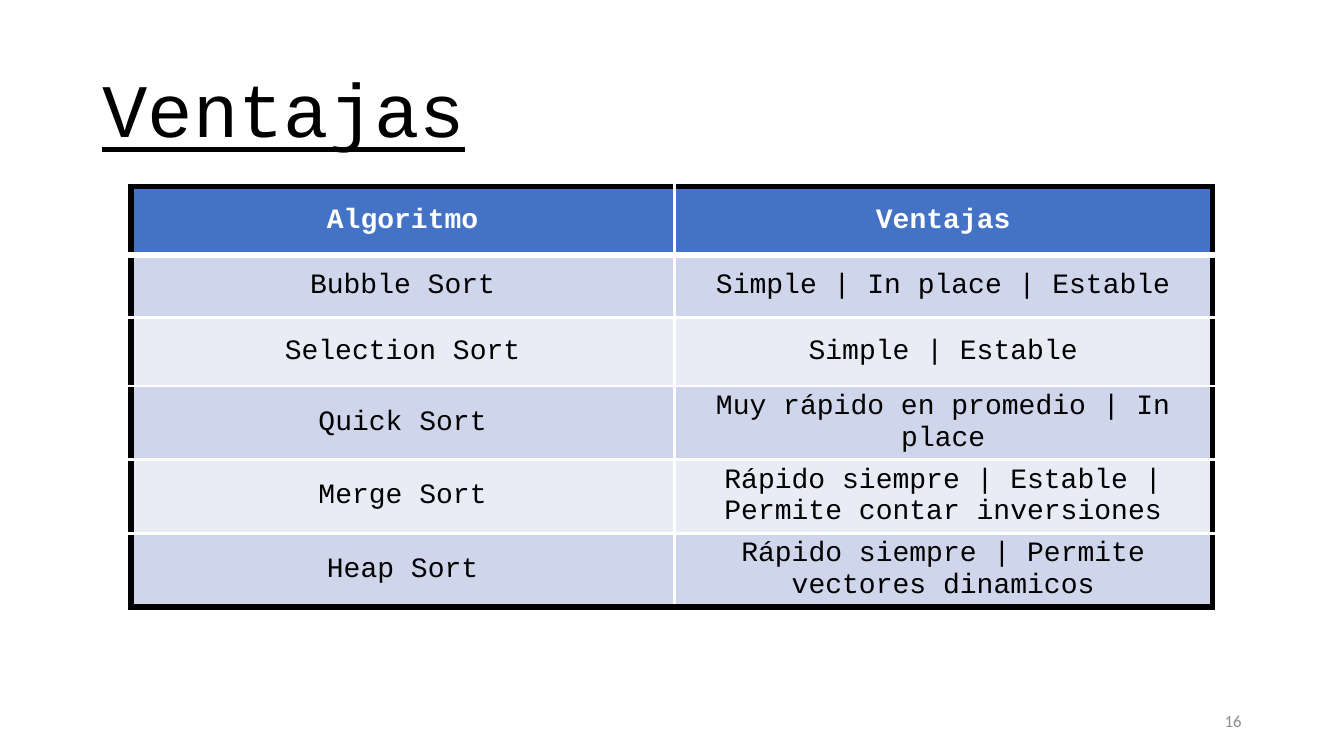
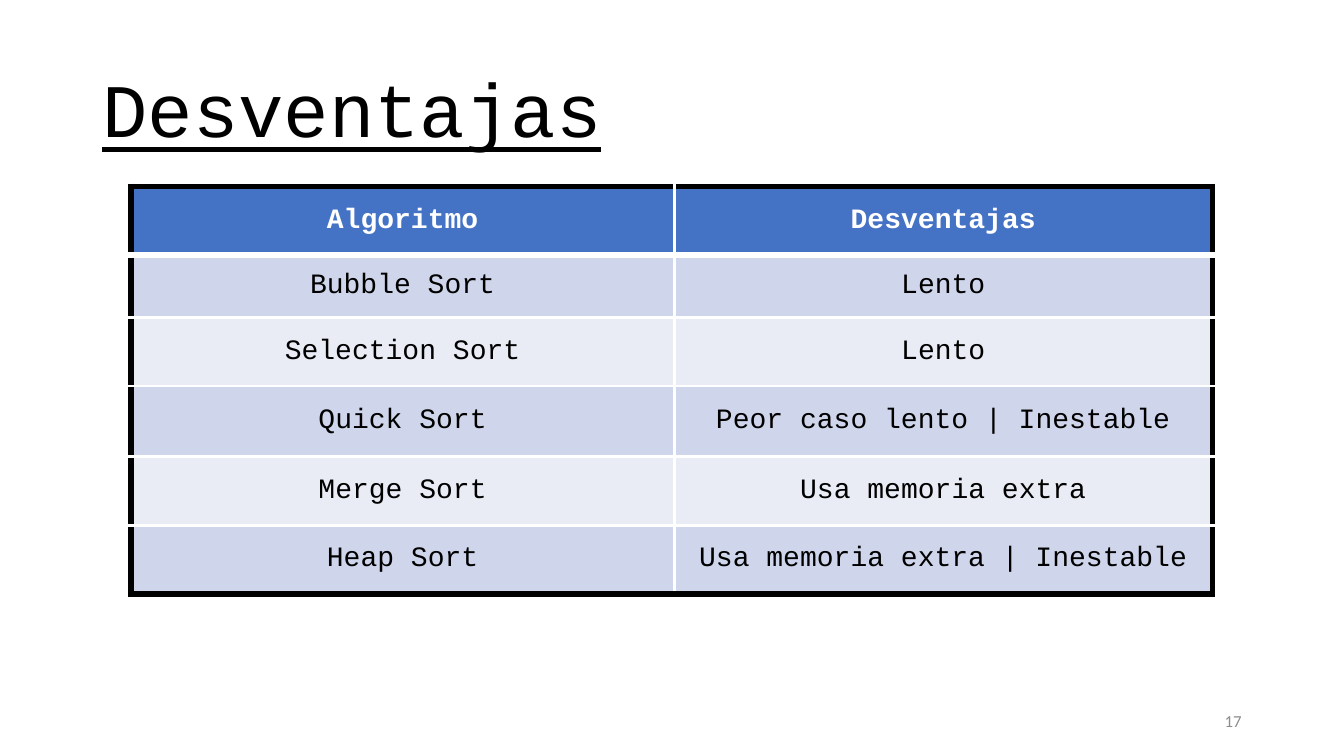
from dataclasses import dataclass

import pptx
import pptx.dml.color
import pptx.enum.text
import pptx.oxml
import pptx.oxml.ns
import pptx.util

Pt = pptx.util.Pt
ALIGN = pptx.enum.text.PP_ALIGN
MIDDLE = pptx.enum.text.MSO_ANCHOR.MIDDLE


@dataclass(frozen=True)
class Theme:
    mono: str = "Courier New"
    sans: str = "Calibri"
    title_size: float = 54
    cell_size: float = 20
    number_size: float = 12
    black: str = "000000"
    white: str = "FFFFFF"
    gray: str = "8C8C8C"
    header: str = "4472C4"
    bands: tuple = ("CFD5EA", "E9EBF5")
    thick: float = 4.5
    thin: float = 2.25


THEME = Theme()
COLUMNS = (388, 384.4)
ROWS = (49, 44.6, 49, 50.4, 49, 49)
ALGORITHMS = ("Bubble Sort", "Selection Sort", "Quick Sort", "Merge Sort", "Heap Sort")
SLIDES = (
    ("Ventajas", 16, (
        "Simple | In place | Estable",
        "Simple | Estable",
        "Muy rápido en promedio | In place",
        "Rápido siempre | Estable | Permite contar inversiones",
        "Rápido siempre | Permite vectores dinamicos",
    )),
    ("Desventajas", 17, (
        "Lento",
        "Lento",
        "Peor caso lento | Inestable",
        "Usa memoria extra",
        "Usa memoria extra | Inestable",
    )),
)


def rgb(color):
    return pptx.dml.color.RGBColor.from_string(color)


def format_paragraph(p, font, size, color, align):
    p.alignment = align
    p.font.name = font
    p.font.size = Pt(size)
    p.font.color.rgb = rgb(color)


def add_title(s, text):
    title = s.shapes.title
    title.left, title.top, title.width, title.height = Pt(66), Pt(28.8), Pt(828), Pt(104.4)
    tf = title.text_frame
    tf.text = text
    tf.word_wrap = True
    tf.auto_size = pptx.enum.text.MSO_AUTO_SIZE.NONE
    tf.vertical_anchor = MIDDLE
    p = tf.paragraphs[0]
    format_paragraph(p, THEME.mono, THEME.title_size, THEME.black, ALIGN.LEFT)
    p.font.underline = True
    p.line_spacing = 0.9


def add_slide_number(s, number):
    tf = s.shapes.add_textbox(Pt(678), Pt(500.4), Pt(216), Pt(28.8)).text_frame
    tf.text = str(number)
    tf.word_wrap = True
    tf.vertical_anchor = MIDDLE
    format_paragraph(tf.paragraphs[0], THEME.sans, THEME.number_size, THEME.gray, ALIGN.RIGHT)


def set_border(cell, side, color, width):
    cell._tc.get_or_add_tcPr().append(pptx.oxml.parse_xml(
        f'<a:ln{side} {pptx.oxml.ns.nsdecls("a")} w="{Pt(width)}">'
        f'<a:solidFill><a:srgbClr val="{color}"/></a:solidFill></a:ln{side}>'))


def set_borders(cell, row, column):
    """Black frame around the table, white rules inside, thicker under the header."""
    frame = (THEME.black, THEME.thick)
    rule = (THEME.white, THEME.thin)
    header_rule = (THEME.white, THEME.thick)
    set_border(cell, "L", *(frame if column == 0 else rule))
    set_border(cell, "R", *(frame if column == len(COLUMNS) - 1 else rule))
    set_border(cell, "T", *{0: frame, 1: header_rule}.get(row, rule))
    set_border(cell, "B", *{0: header_rule, len(ROWS) - 1: frame}.get(row, rule))


def format_cell(cell, text, row, column):
    is_header = row == 0
    set_borders(cell, row, column)
    cell.fill.solid()
    cell.fill.fore_color.rgb = rgb(THEME.header if is_header else THEME.bands[(row - 1) % 2])
    cell.vertical_anchor = MIDDLE
    cell.text = text
    p = cell.text_frame.paragraphs[0]
    color = THEME.white if is_header else THEME.black
    format_paragraph(p, THEME.mono, THEME.cell_size, color, ALIGN.CENTER)
    p.font.bold = is_header


def add_comparison_table(s, heading, remarks):
    table = s.shapes.add_table(len(ROWS), len(COLUMNS), Pt(93.6), Pt(133.2),
                               Pt(sum(COLUMNS)), Pt(sum(ROWS))).table
    for column, width in zip(table.columns, COLUMNS):
        column.width = Pt(width)
    for row, height in zip(table.rows, ROWS):
        row.height = Pt(height)
    content = [("Algoritmo", heading), *zip(ALGORITHMS, remarks)]
    for i, texts in enumerate(content):
        for j, text in enumerate(texts):
            format_cell(table.cell(i, j), text, i, j)


def main():
    prs = pptx.Presentation()
    prs.slide_width, prs.slide_height = Pt(960), Pt(540)
    for heading, number, remarks in SLIDES:
        s = prs.slides.add_slide(prs.slide_layouts.get_by_name("Title Only"))
        add_title(s, heading)
        add_comparison_table(s, heading, remarks)
        add_slide_number(s, number)
    prs.save("out.pptx")


if __name__ == "__main__":
    main()
